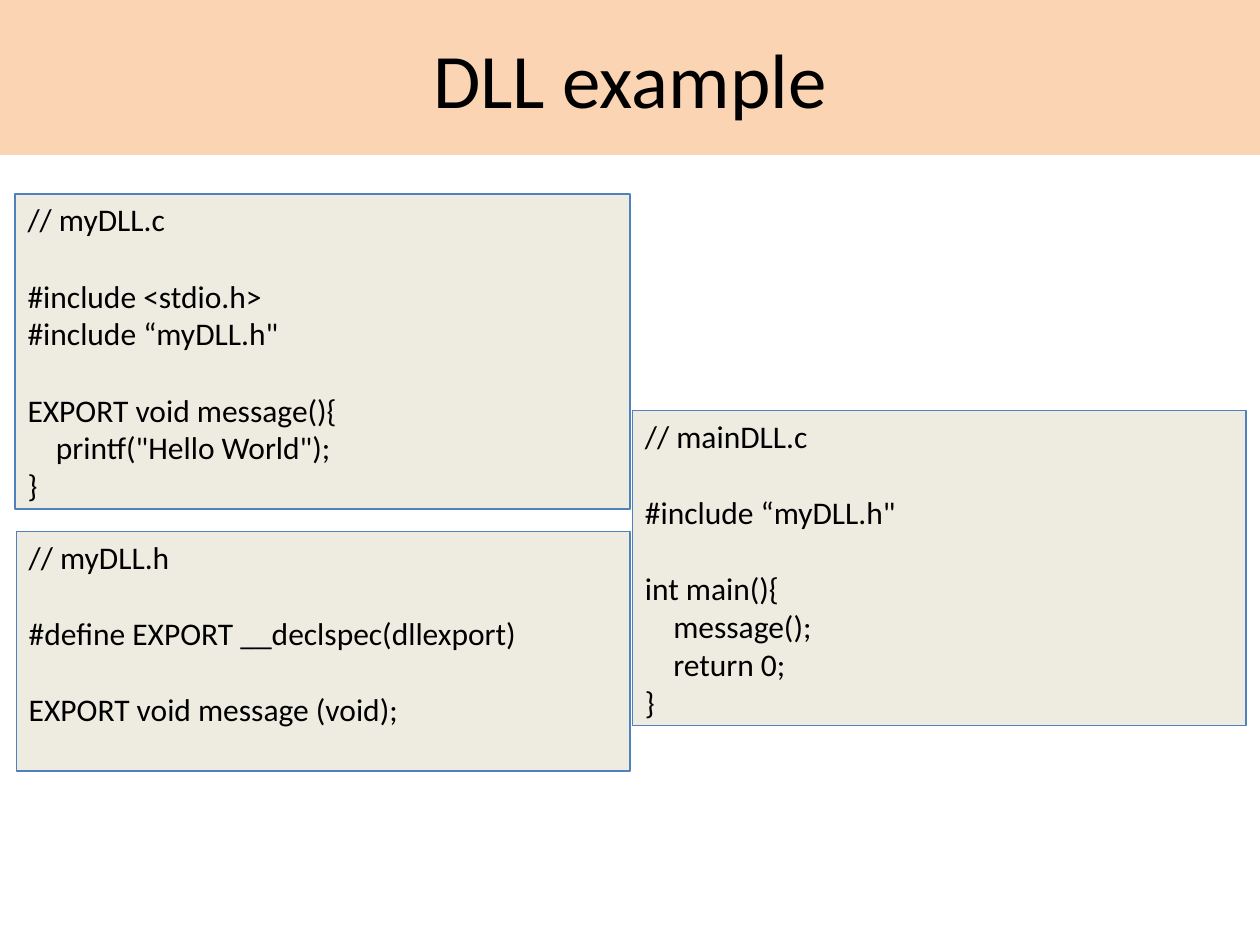
from pptx import Presentation
from pptx.dml.color import RGBColor
from pptx.enum.shapes import MSO_SHAPE
from pptx.enum.text import MSO_ANCHOR, MSO_AUTO_SIZE, PP_ALIGN
from pptx.util import Inches, Pt

TITLE = "DLL example"
FONT = "Calibri"
CODE_SIZE = 18
BLANK_LINE = 22  # points, one line of code

# Each listing: left, top, width, height in inches, then groups of code lines
LISTINGS = [
    ((0.12, 1.54, 4.88, 2.5), [
        ["// myDLL.c"],
        ["#include <stdio.h>", '#include “myDLL.h"'],
        ["EXPORT void message(){", '    printf("Hello World");', "}"],
    ]),
    ((0.13, 4.22, 4.87, 1.9), [
        ["// myDLL.h"],
        ["#define EXPORT __declspec(dllexport)"],
        ["EXPORT void message (void);"],
    ]),
    ((5.02, 3.26, 4.87, 2.5), [
        ["// mainDLL.c"],
        ['#include “myDLL.h"'],
        ["int main(){", "    message();", "    return 0;", "}"],
    ]),
]


def color(hex_string):
    return RGBColor.from_string(hex_string)


def fill_shape(shape, hex_string):
    shape.fill.solid()
    shape.fill.fore_color.rgb = color(hex_string)


def write(paragraph, text, size, align=PP_ALIGN.LEFT, space_before=0):
    paragraph.alignment = align
    paragraph.space_before = Pt(space_before)
    run = paragraph.add_run()
    run.text = text
    run.font.name = FONT
    run.font.size = Pt(size)
    run.font.color.rgb = color("000000")


def add_title(slide, text):
    title = slide.shapes.title
    title.left, title.top = 0, 0
    title.width, title.height = Inches(10), Inches(1.23)
    fill_shape(title, "FBD4B4")
    title.text_frame.vertical_anchor = MSO_ANCHOR.MIDDLE
    write(title.text_frame.paragraphs[0], text, 44, align=PP_ALIGN.CENTER)


def add_listing(slide, box, groups):
    shape = slide.shapes.add_shape(MSO_SHAPE.RECTANGLE, *map(Inches, box))
    shape.shadow.inherit = False
    fill_shape(shape, "EEECE1")
    shape.line.color.rgb = color("4F81BD")
    shape.line.width = Pt(0.75)
    frame = shape.text_frame
    frame.word_wrap = True
    frame.auto_size = MSO_AUTO_SIZE.NONE
    frame.vertical_anchor = MSO_ANCHOR.TOP
    paragraph = frame.paragraphs[0]
    for group_index, group in enumerate(groups):
        for line_index, line in enumerate(group):
            if group_index or line_index:
                paragraph = frame.add_paragraph()
            starts_group = group_index > 0 and line_index == 0
            write(paragraph, line, CODE_SIZE,
                  space_before=BLANK_LINE if starts_group else 0)


def main():
    presentation = Presentation()
    presentation.slide_width = Inches(10)
    presentation.slide_height = Inches(7.5)
    slide = presentation.slides.add_slide(presentation.slide_layouts[5])
    add_title(slide, TITLE)
    for box, groups in LISTINGS:
        add_listing(slide, box, groups)
    presentation.save("out.pptx")


if __name__ == "__main__":
    main()
